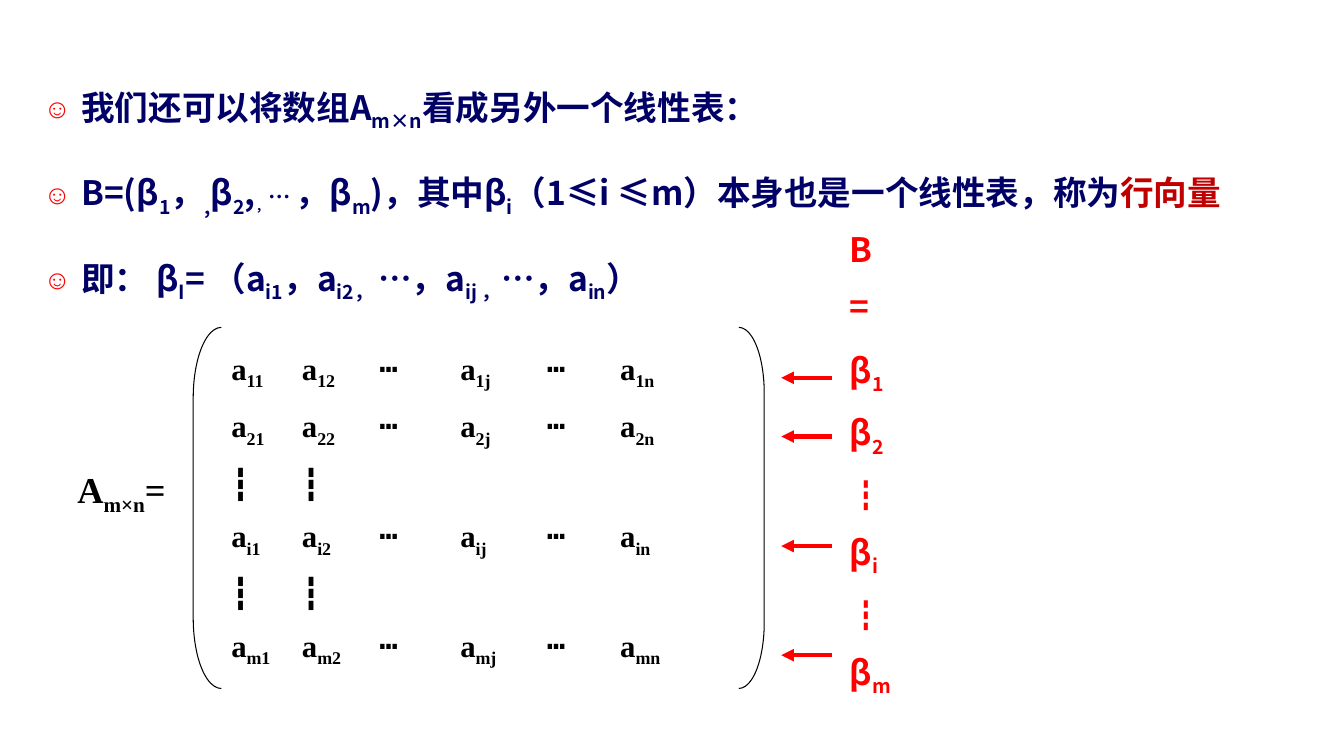
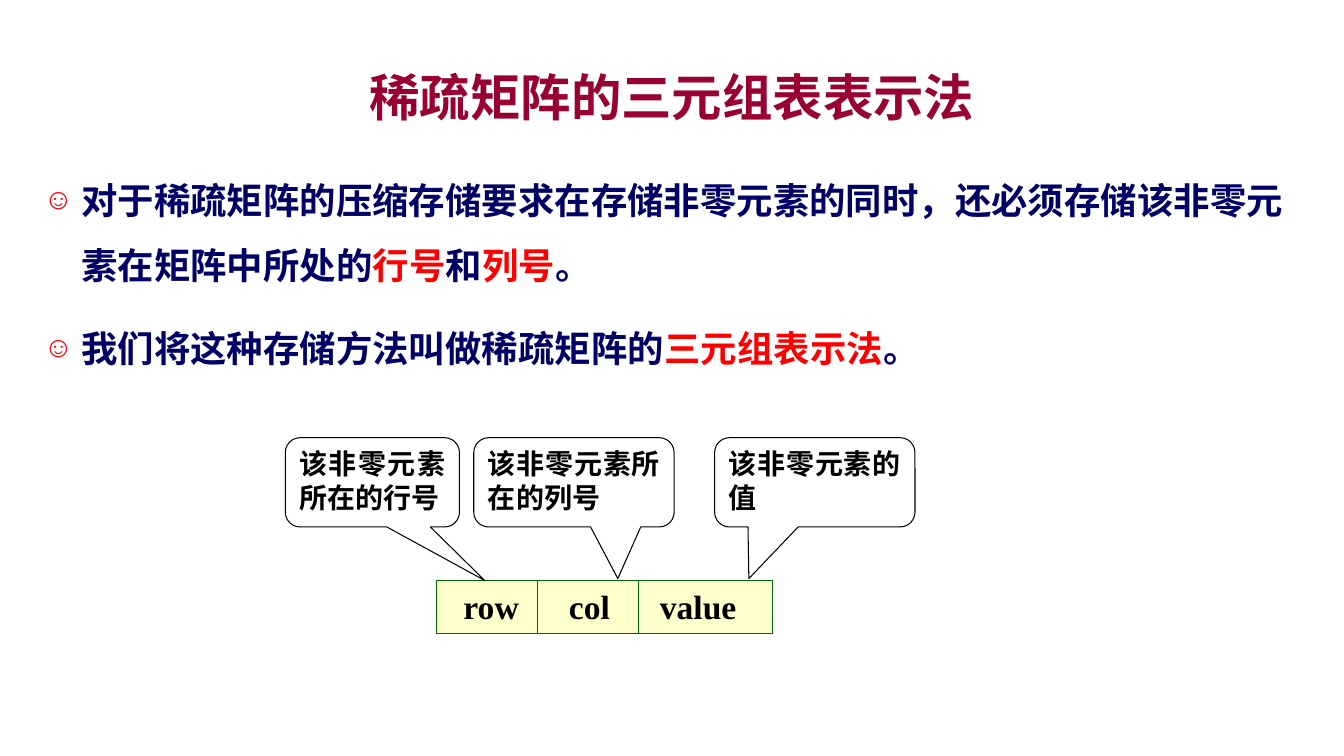
from lxml import etree
from pptx import Presentation
from pptx import util as u
from pptx.dml.color import RGBColor
from pptx.enum import shapes, text
from pptx.oxml.ns import qn

COLORS = {"navy": "000066", "title": "990033", "red": "FF0000", "dark_red": "C00000",
          "black": "000000", "white": "FFFFFF", "cream": "FFFFCC", "green": "006600"}
HEI, SERIF = "Noto Sans CJK SC", "Times New Roman"

# Markup: |subscript|, ^highlight^, ~small~
ROW_VECTOR_POINTS = [
    "我们还可以将数组A|m×n|看成另外一个线性表：",
    "B=(β|1|，|,|β|2|,~|，|… ~，β|m|)，其中β|i|（1≤i ≤m）本身也是一个线性表，称为^行向量^",
    "即： β|I|= （a|i1|，a|i2， |…，a|ij ，|…，a|in|）",
]
MATRIX_ROWS = ["1", "2", None, "i", None, "m"]
MATRIX_COLUMNS = ["1", "2", None, "j", None, "n"]
COLUMN_STOPS = [1.78, 3.73, 5.77, 7.95, 9.8]
BRACKETS = [(shapes.MSO_SHAPE.LEFT_BRACKET, 4.87, 0.71, 2.5),
            (shapes.MSO_SHAPE.RIGHT_BRACKET, 18.62, 0.64, 2.58)]
ROW_ARROWS = [9.52, 11, 13.76, 16.51]

TRIPLE_TITLE = "稀疏矩阵的三元组表表示法"
TRIPLE_POINTS = [
    "对于稀疏矩阵的压缩存储要求在存储非零元素的同时，还必须存储该非零元素在矩阵中所处的^行号^和^列号^。",
    "我们将这种存储方法叫做稀疏矩阵的^三元组表示法^。",
]
FIELDS = ["row", "col", "value"]
FIELD_STOPS = [0.43, 3.09, 5.38]
FIELD_DIVIDERS = [13.54, 16.08]
RECORD_LEFT, RECORD_TOP, RECORD_WIDTH, RECORD_HEIGHT = 11, 14.63, 8.46, 1.34
CALLOUTS = [  # text, left, width, pointer tip
    ("该非零元素所在的行号", 7.19, 4.39, (0.645, 1.099)),
    ("该非零元素所在的列号", 11.94, 5.05, (0.219, 1.078)),
    ("该非零元素的值", 18.01, 5.05, (-0.329, 1.078)),
]


def rgb(name):
    return RGBColor.from_string(COLORS[name])


def box(*lengths):
    return [u.Cm(length) for length in lengths]


def child(parent, tag, **attributes):
    return etree.SubElement(parent, qn(tag), {k: str(v) for k, v in attributes.items()})


def split_markup(line):
    """Yield (piece, highlighted, small, subscript)."""
    for h, marked in enumerate(line.split("^")):
        for s, sized in enumerate(marked.split("~")):
            for b, piece in enumerate(sized.split("|")):
                if piece:
                    yield piece, h % 2, s % 2, b % 2


def write(frame, lines, size, color="black", font=HEI, align=None, highlight="red",
          half_line=False, before=None, bullets=False, stops=(),
          anchor=text.MSO_ANCHOR.TOP):
    frame.word_wrap = True
    frame.vertical_anchor = anchor
    for number, line in enumerate(lines):
        paragraph = frame.add_paragraph() if number else frame.paragraphs[0]
        paragraph.alignment = align
        properties = paragraph._p.get_or_add_pPr()
        if before is not None:
            paragraph.space_before = u.Pt(before)
        if half_line:
            child(child(properties, "a:spcBef"), "a:spcPct", val=50000)
        if bullets:
            paragraph.line_spacing = 1.5
            paragraph.space_before = paragraph.space_after = u.Pt(6)
            properties.set("marL", str(u.Cm(0.95)))
            properties.set("indent", str(-u.Cm(0.95)))
            child(child(properties, "a:buClr"), "a:srgbClr", val=COLORS["red"])
            child(properties, "a:buSzPct", val=80000)
            child(properties, "a:buFont", typeface=SERIF)
            child(properties, "a:buChar", char="☺")
        if stops:
            tabs = child(properties, "a:tabLst")
            for stop in stops:
                child(tabs, "a:tab", pos=u.Cm(stop), algn="l")
        for piece, highlighted, small, subscript in split_markup(line):
            run = paragraph.add_run()
            run.text = piece
            run.font.size = u.Pt(16 if small else size)
            run.font.bold = True
            run.font.name = font
            run.font.color.rgb = rgb(highlight if highlighted else color)
            child(run._r.get_or_add_rPr(), "a:ea", typeface=HEI)
            if subscript:
                run._r.get_or_add_rPr().set("baseline", "-25000")


def add_text(slide, place, lines, size, **style):
    write(slide.shapes.add_textbox(*box(*place)).text_frame, lines, size, **style)


def add_shape(slide, kind, place, line="black", fill=None):
    shape = slide.shapes.add_shape(kind, *box(*place))
    shape.shadow.inherit = False
    shape.line.color.rgb = rgb(line)
    shape.line.width = u.Pt(0.75)
    if fill:
        shape.fill.solid()
        shape.fill.fore_color.rgb = rgb(fill)
    else:
        shape.fill.background()
    return shape


def add_line(slide, ends, color, width, arrow=False):
    line = slide.shapes.add_connector(shapes.MSO_CONNECTOR.STRAIGHT, *box(*ends))
    line.line.color.rgb = rgb(color)
    line.line.width = u.Pt(width)
    if arrow:
        child(line.line._get_or_add_ln(), "a:tailEnd", type="triangle")
    child(line._element.spPr, "a:effectLst")


def matrix_line(row):
    if row is None:
        return "┇\t┇"
    return "\t".join(f"a|{row}{column}|" if column else "┅" for column in MATRIX_COLUMNS)


def build_row_vectors(slide):
    add_text(slide, (0.85, 1.48, 32.18, 3.81), ROW_VECTOR_POINTS, 24, color="navy",
             highlight="dark_red", bullets=True)
    for kind, left, width, curve in BRACKETS:
        add_shape(slide, kind, (left, 8.25, width, 9.1)).adjustments[0] = curve
    add_text(slide, (1.7, 11.64, 3.18, 1.37), ["A|m×n|="], 26, font=SERIF, half_line=True)
    add_text(slide, (5.58, 8.68, 13.26, 8.25), [matrix_line(row) for row in MATRIX_ROWS], 22,
             font=SERIF, half_line=True, stops=COLUMN_STOPS)
    add_text(slide, (21.17, 5.65, 1.47, 2.82), ["B", "="], 24, color="red", half_line=True)
    add_text(slide, (21.17, 8.68, 2.75, 8.56),
             [f"β|{row}|" if row else "┇" for row in MATRIX_ROWS], 24, color="red", before=12)
    for y in ROW_ARROWS:
        add_line(slide, (20.96, y, 19.69, y), "red", 3, arrow=True)


def build_triples(slide):
    add_text(slide, (2.54, 1.48, 28.79, 1.91), [TRIPLE_TITLE], 36, color="title",
             align=text.PP_ALIGN.CENTER, anchor=text.MSO_ANCHOR.MIDDLE)
    add_text(slide, (0.85, 3.81, 32.18, 14.4), TRIPLE_POINTS, 26, color="navy", bullets=True)
    record = add_shape(slide, shapes.MSO_SHAPE.RECTANGLE,
                       (RECORD_LEFT, RECORD_TOP, RECORD_WIDTH, RECORD_HEIGHT),
                       line="green", fill="cream")
    write(record.text_frame, ["".join("\t" + name for name in FIELDS)], 24, font=SERIF,
          align=text.PP_ALIGN.LEFT, before=6, stops=FIELD_STOPS)
    for x in FIELD_DIVIDERS:
        add_line(slide, (x, RECORD_TOP, x, RECORD_TOP + RECORD_HEIGHT), "green", 0.75)
    for label, left, width, tip in CALLOUTS:
        callout = add_shape(slide, shapes.MSO_SHAPE.ROUNDED_RECTANGULAR_CALLOUT,
                            (left, 11.03, width, 2.25), fill="white")
        callout.adjustments[0], callout.adjustments[1] = tip
        write(callout.text_frame, [label], 20, font=SERIF, align=text.PP_ALIGN.JUSTIFY)


def main():
    deck = Presentation()
    deck.slide_width, deck.slide_height = box(33.87, 19.05)
    for build in (build_row_vectors, build_triples):
        build(deck.slides.add_slide(deck.slide_layouts[6]))
    deck.save("out.pptx")


if __name__ == "__main__":
    main()
